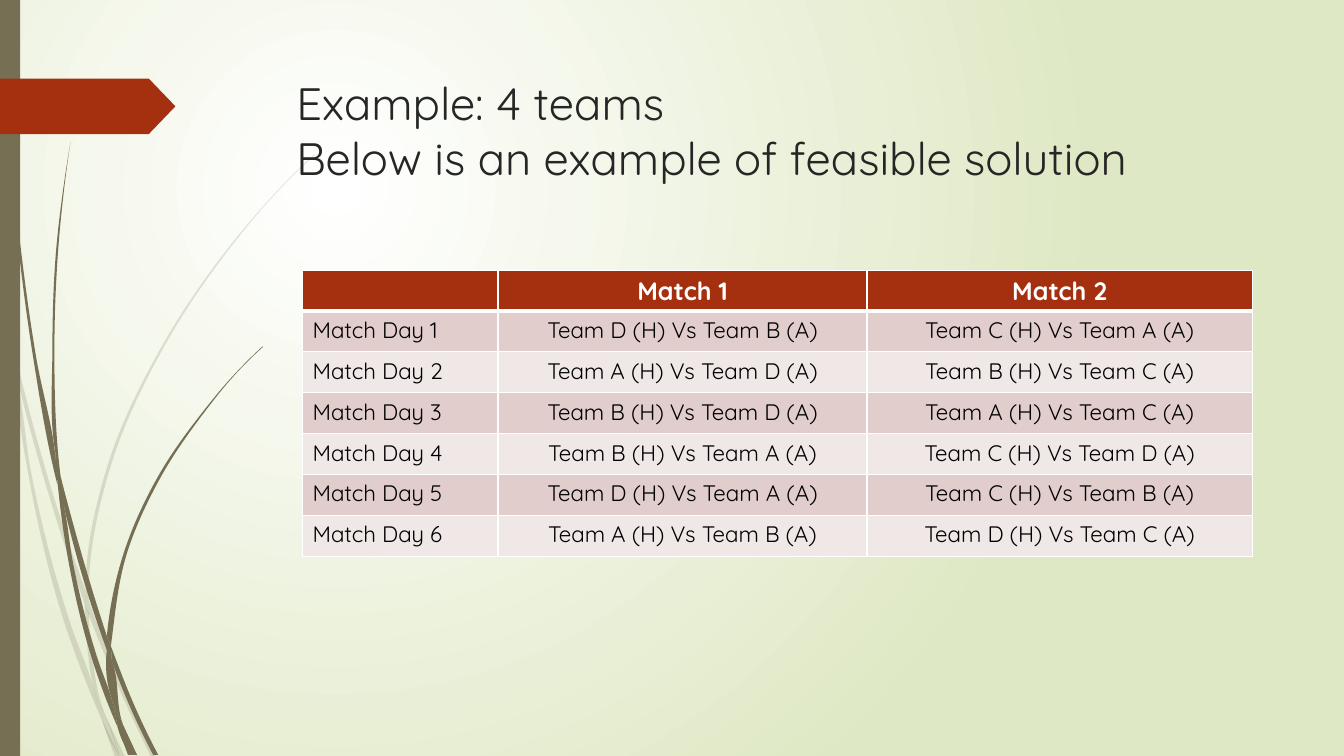
import math
from dataclasses import dataclass

import pptx
import pptx.dml.color
import pptx.enum.shapes
import pptx.enum.text
import pptx.oxml
import pptx.oxml.ns
import pptx.util
from lxml import etree

Inches = pptx.util.Inches
Pt = pptx.util.Pt
qn = pptx.oxml.ns.qn
Shapes = pptx.enum.shapes.MSO_SHAPE
Align = pptx.enum.text.PP_ALIGN


@dataclass(frozen=True)
class Theme:
    font: str = "Quicksand"
    title_size: float = 32.4
    header_size: float = 18
    body_size: float = 16
    title: str = "262626"
    body: str = "000000"
    white: str = "FFFFFF"
    backdrop: str = "DFE8C4"
    stem: str = "766F54"
    accent: str = "A53010"
    bands: tuple = ("E1CDCC", "F0E8E7")


THEME = Theme()

# Each piece of grass is its left edge and its right edge, from top to bottom.
PALE_GRASS = [
    ([(0, 2.99), (0.1, 3.44), (0.11, 3.5)], [(0, 2.82), (0.09, 3.22), (0.11, 3.5)]),
    ([(0.17, 3.76), (0.58, 5.22), (0.84, 5.99)], [(0.14, 3.45), (0.62, 5.2), (0.85, 5.86)]),
    ([(0.88, 6.1), (1.23, 6.94), (1.5, 7.51)],
     [(0.88, 5.96), (0.92, 6.07), (1.27, 6.92), (1.55, 7.51)]),
    ([(1.05, 7.11), (1.19, 7.51)], [(1.05, 7.11), (1.24, 7.51)]),
    ([(0.11, 3.5), (0.28, 4.7), (0.65, 6.21), (0.92, 6.93), (1.01, 7.14)],
     [(0.11, 3.5), (0.17, 3.76), (0.31, 4.69), (0.7, 6.19), (0.93, 6.83), (0.99, 7.07),
      (1.01, 7.14)]),
    ([(0.84, 5.99), (0.87, 6.46), (0.93, 6.83), (0.96, 6.92), (1.05, 7.11)],
     [(0.88, 6.08), (0.91, 6.46), (1.03, 7.06), (1.05, 7.11)]),
    ([(3.12, 1.53), (2.89, 1.75), (2.68, 1.97), (2.28, 2.44), (1.58, 3.48), (1.07, 4.61),
      (0.85, 5.84), (0.85, 5.86)],
     [(3.12, 1.54), (2.9, 1.75), (2.68, 1.98), (2.29, 2.45), (1.6, 3.49), (1.1, 4.62),
      (0.88, 5.84), (0.88, 5.96)]),
    ([(1.01, 7.14), (1.14, 7.51)], [(1.01, 7.14), (1.19, 7.51)]),
    ([(0.85, 5.86), (0.84, 5.99)], [(0.88, 5.96), (0.88, 6.1)]),
    ([(0.93, 6.83), (0.99, 7.07), (1.01, 7.14), (1.19, 7.51)],
     [(0.93, 6.83), (0.96, 6.92), (1.05, 7.11), (1.19, 7.51)]),
]
DARK_GRASS = [
    ([(0.03, 0), (0.04, 0.48), (0.07, 1.1), (0.17, 2.33), (0.33, 3.55), (0.56, 4.77),
      (0.57, 4.81)],
     [(0.04, 0), (0.05, 0.48), (0.08, 1.09), (0.19, 2.32), (0.36, 3.55), (0.55, 4.53),
      (0.57, 4.81)]),
    ([(0.64, 5.05), (0.88, 5.92), (1.06, 6.45)], [(0.6, 4.72), (0.93, 5.9), (1.06, 6.31)]),
    ([(1.11, 6.56), (1.32, 7.08), (1.52, 7.49)],
     [(1.1, 6.41), (1.13, 6.49), (1.36, 7.06), (1.57, 7.49)]),
    ([(0.57, 4.77), (0.68, 5.57), (0.93, 6.59), (1.11, 7.08), (1.17, 7.22)],
     [(0.57, 4.77), (0.64, 5.05), (0.72, 5.56), (0.98, 6.57), (1.1, 6.91), (1.16, 7.17),
      (1.17, 7.22)]),
    ([(0.7, 1.41), (0.62, 1.93), (0.56, 2.45), (0.52, 3.49), (0.55, 4.49), (0.6, 4.72)],
     [(0.7, 1.41), (0.63, 1.93), (0.58, 2.45), (0.54, 3.49), (0.58, 4.53), (0.6, 4.72)]),
    ([(1.22, 7.19), (1.33, 7.49)], [(1.22, 7.19), (1.36, 7.49)]),
    ([(0.55, 4.49), (0.57, 4.77), (0.64, 5.05)], [(0.55, 4.49), (0.6, 4.72), (0.64, 5.05)]),
    ([(2.6, 3.44), (2.31, 3.73), (2.04, 4.05), (1.56, 4.74), (1.22, 5.51), (1.06, 6.31)],
     [(2.61, 3.44), (2.31, 3.74), (2.05, 4.06), (1.58, 4.76), (1.25, 5.52), (1.11, 6.33),
      (1.1, 6.41)]),
    ([(1.17, 7.22), (1.27, 7.49)], [(1.17, 7.22), (1.31, 7.49)]),
    ([(1.06, 6.45), (1.1, 6.91), (1.16, 7.06), (1.22, 7.19)],
     [(1.06, 6.45), (1.11, 6.56), (1.21, 7.16), (1.22, 7.19)]),
    ([(1.06, 6.31), (1.06, 6.45)], [(1.1, 6.41), (1.11, 6.56)]),
    ([(1.1, 6.91), (1.16, 7.17), (1.17, 7.22), (1.3, 7.49)],
     [(1.1, 6.91), (1.16, 7.06), (1.22, 7.19), (1.33, 7.49)]),
]

TITLE_LINES = ["Example: 4 teams", "Below is an example of feasible solution"]
HEADERS = ["", "Match 1", "Match 2"]
# Home and away team of both matches on each day.
FIXTURES = ["DB CA", "AD BC", "BD AC", "BA CD", "DA CB", "AB DC"]
COLUMN_WIDTHS = [1.94, 3.66, 3.82]


def rgb(value):
    return pptx.dml.color.RGBColor.from_string(value)


def paint(shape, color, opacity=100):
    shape.shadow.inherit = False
    shape.fill.solid()
    shape.fill.fore_color.rgb = rgb(color)
    shape.line.fill.background()
    if opacity < 100:
        tint = shape.element.spPr.find(qn("a:solidFill"))[0]
        etree.SubElement(tint, qn("a:alpha"), val=str(opacity * 1000))


def add_span(para, text, size, color, bold=False):
    span = para.add_run()
    span.text = text
    span.font.name = THEME.font
    span.font.size = Pt(size)
    span.font.bold = bold
    span.font.color.rgb = rgb(color)


def curve_through(points):
    """Return the Bezier points, three a segment, of a smooth curve after its start."""
    knots = [complex(*point) for point in points]
    spans = [abs(b - a) for a, b in zip(knots, knots[1:])]
    slopes = [(b - a) / span for a, b, span in zip(knots, knots[1:], spans)]
    inner = [(s * after + t * before) / (before + after)
             for s, t, before, after in zip(slopes, slopes[1:], spans, spans[1:])]
    first = 2 * slopes[0] - inner[0] if inner else slopes[0]
    last = 2 * slopes[-1] - inner[-1] if inner else slopes[-1]
    tangents = [first, *inner, last]
    curve = []
    for i, span in enumerate(spans):
        curve += [knots[i] + tangents[i] * span / 3,
                  knots[i + 1] - tangents[i + 1] * span / 3, knots[i + 1]]
    return [(knot.real, knot.imag) for knot in curve]


def add_curved_piece(page, left, top, left_edge, right_edge):
    outline = [left_edge[0], *curve_through(left_edge)]
    if math.dist(left_edge[-1], right_edge[-1]) > 0:
        outline += curve_through([left_edge[-1], right_edge[-1]])
    outline += curve_through(right_edge[::-1])
    spots = [(Inches(left + x), Inches(top + y)) for x, y in outline]
    builder = page.shapes.build_freeform(*spots[0])
    builder.add_line_segments(spots[1:], close=True)
    piece = builder.convert_to_shape()
    lines = list(piece.element.iter(qn("a:lnTo")))
    for start in range(0, len(lines), 3):
        segment = etree.Element(qn("a:cubicBezTo"))
        lines[start].addprevious(segment)
        for line in lines[start:start + 3]:
            segment.append(line[0])
            line.getparent().remove(line)
    return piece


def add_grass(page, left, top):
    for pieces, opacity in ((PALE_GRASS, 20), (DARK_GRASS, 100)):
        for left_edge, right_edge in pieces:
            piece = add_curved_piece(page, left, top, left_edge, right_edge)
            paint(piece, THEME.stem, opacity)


def add_backdrop(page):
    fill = page.background.fill
    fill.gradient()
    for stop, color in zip(fill.gradient_stops, (THEME.white, THEME.backdrop)):
        stop.color.rgb = rgb(color)
    gradient = page.element.find(".//" + qn("a:gradFill"))
    circle = etree.Element(qn("a:path"), path="circle")
    etree.SubElement(circle, qn("a:fillToRect"), l="50000", t="50000", r="100000", b="100000")
    gradient.replace(gradient.find(qn("a:lin")), circle)


def add_title(page, left, top, width, height):
    frame = page.shapes.add_textbox(left, top, width, height).text_frame
    frame.word_wrap = True
    para = frame.paragraphs[0]
    for index, line in enumerate(TITLE_LINES):
        if index:
            para.add_line_break()
        add_span(para, line, THEME.title_size, THEME.title)


def add_borders(cell, widths):
    """Draw white borders; widths maps a side (L, R, T, B) to points."""
    properties = cell._tc.get_or_add_tcPr()
    for side, width in widths.items():
        line = etree.SubElement(properties, qn("a:ln" + side), w=str(Pt(width)))
        solid = etree.SubElement(line, qn("a:solidFill"))
        etree.SubElement(solid, qn("a:srgbClr"), val=THEME.white)


def add_schedule(page, left, top, width, height):
    rows = [HEADERS]
    for day, fixture in enumerate(FIXTURES, start=1):
        matches = [f"Team {home} (H) Vs Team {away} (A)" for home, away in fixture.split()]
        rows.append([f"Match Day {day}", *matches])
    table = page.shapes.add_table(len(rows), len(HEADERS), left, top, width, height).table
    for column, share in zip(table.columns, COLUMN_WIDTHS):
        column.width = int(width * share / sum(COLUMN_WIDTHS))
    for row, texts in enumerate(rows):
        is_header = row == 0
        fill = THEME.accent if is_header else THEME.bands[(row - 1) % 2]
        size = THEME.header_size if is_header else THEME.body_size
        color = THEME.white if is_header else THEME.body
        for column, text in enumerate(texts):
            cell = table.cell(row, column)
            add_borders(cell, {"L": 1, "R": 1, "T": 3 if row == 1 else 1,
                               "B": 3 if is_header else 1})
            cell.fill.solid()
            cell.fill.fore_color.rgb = rgb(fill)
            para = cell.text_frame.paragraphs[0]
            para.alignment = Align.CENTER if column else Align.LEFT
            if text:
                add_span(para, text, size, color, is_header)


def add_left_margin(page, left, top, height):
    """Draw the grass, the side bar and the pointer along the slide's left side."""
    add_grass(page, left, top)
    bar = page.shapes.add_shape(Shapes.RECTANGLE, Inches(left), Inches(top), Inches(0.2), height)
    paint(bar, THEME.stem)
    pointer = page.shapes.add_shape(Shapes.PENTAGON, Inches(left), Inches(top + 0.78),
                                    Inches(1.74), Inches(0.55))
    pointer.adjustments[0] = 0.48
    paint(pointer, THEME.accent)


deck = pptx.Presentation()
deck.slide_width, deck.slide_height = Inches(13.33), Inches(7.5)
slide = deck.slides.add_slide(deck.slide_layouts[6])
add_backdrop(slide)
add_left_margin(slide, 0, 0, deck.slide_height)
add_title(slide, Inches(2.84), Inches(0.7), Inches(9.75), Inches(1.4))
add_schedule(slide, Inches(3), Inches(2.68), Inches(9.42), Inches(2.84))
deck.save("out.pptx")
